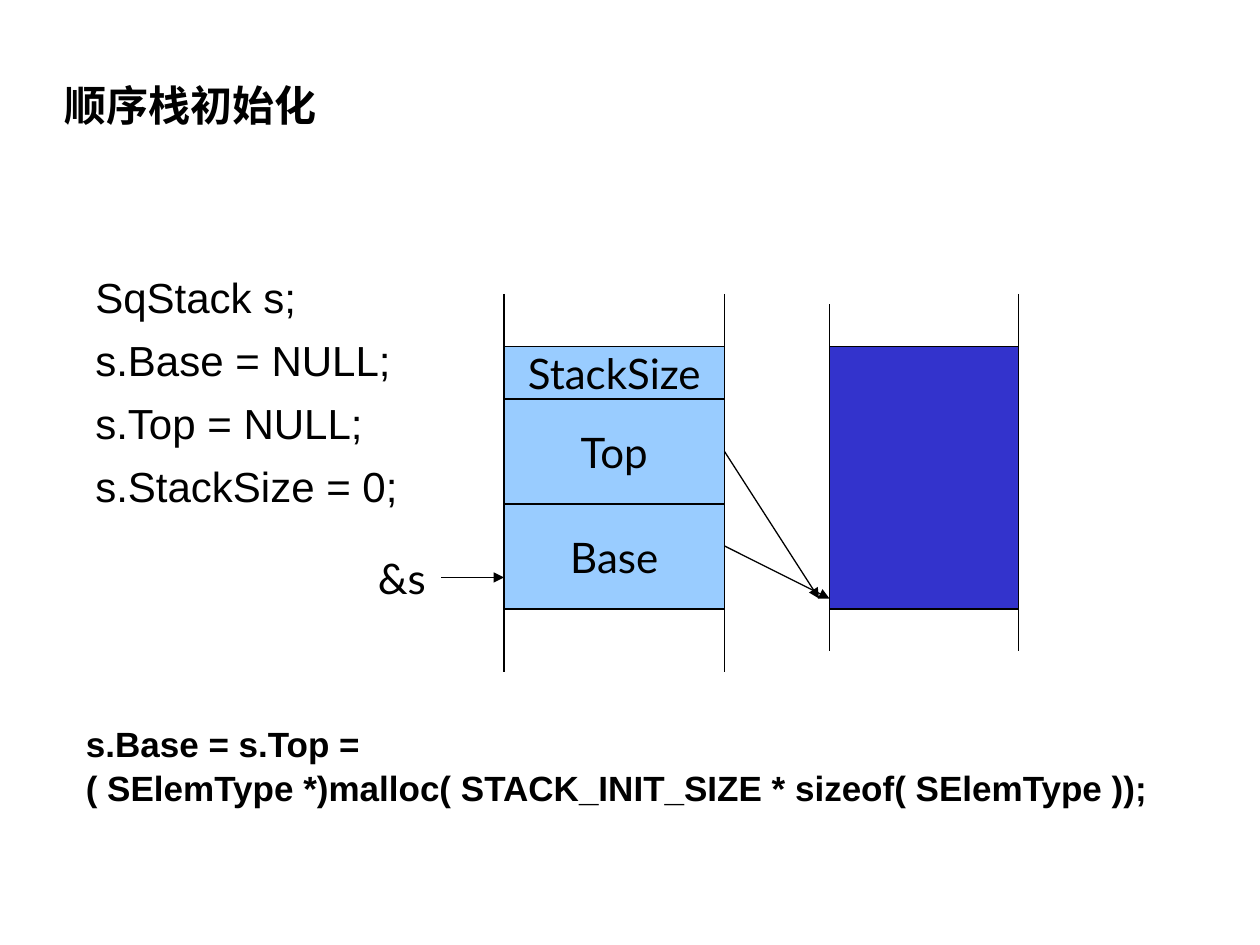
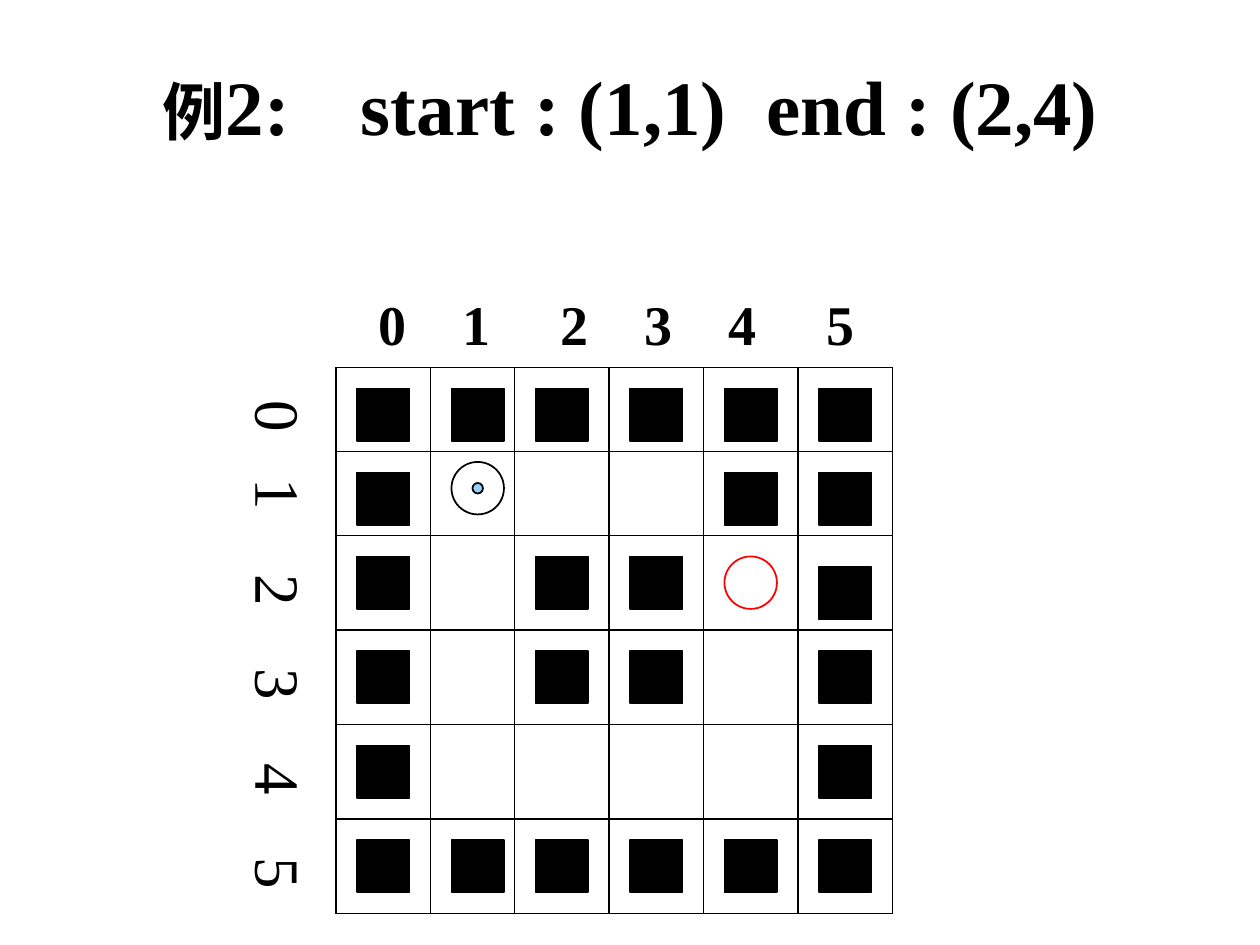
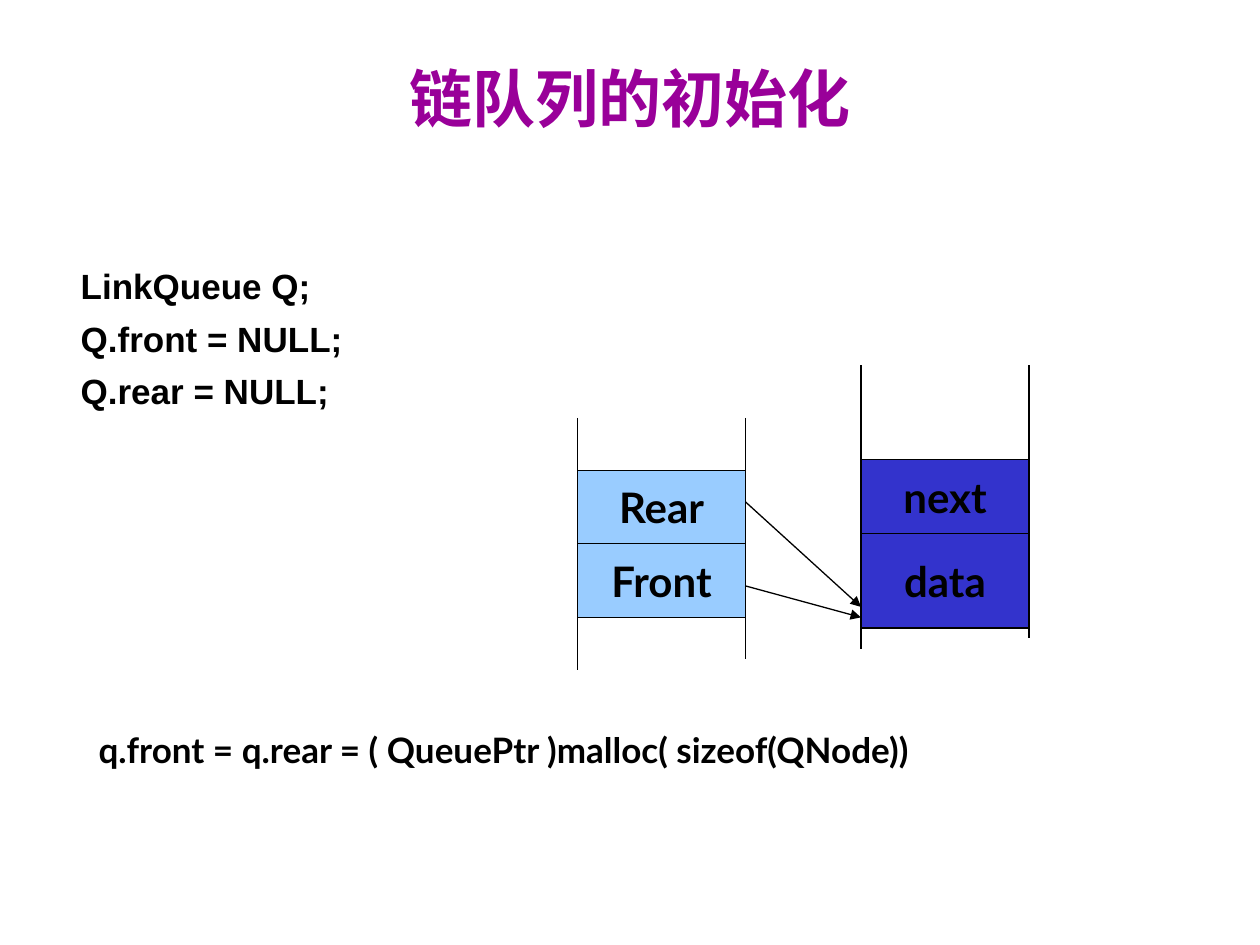
from dataclasses import dataclass
from itertools import product

from lxml.etree import SubElement
from pptx import Presentation
from pptx.dml.color import RGBColor
from pptx.enum.shapes import MSO_CONNECTOR as Connector, MSO_SHAPE as Preset
from pptx.enum.text import MSO_ANCHOR as Anchor, PP_ALIGN as Align
from pptx.oxml.ns import qn
from pptx.util import Inches, Pt

COLUMNS, ROWS = 120, 90
WIDTH, HEIGHT = Inches(10), Inches(7.5)


@dataclass(frozen=True)
class Theme:
    ink = RGBColor.from_string("000000")
    accent = RGBColor.from_string("990099")
    record = RGBColor.from_string("99CCFF")
    heap = RGBColor.from_string("3333CC")
    goal = RGBColor.from_string("FF0000")
    sans = "Arial"
    serif = "Times New Roman"
    label = "Lato"
    code = 20
    body = 24
    header = 32
    large = 36
    display = 44
    thin = 0.75
    rule = 1


THEME = Theme()


@dataclass(frozen=True)
class Box:
    column: float
    row: float
    width: float
    height: float

    def inner(self, column, row, width, height):
        return Box(self.column + column, self.row + row, width, height)

    def point(self, column, row):
        return self.column + column, self.row + row

    def frame(self):
        return (*emu(self.column, self.row), *emu(self.width, self.height))


PAGE = Box(0, 0, COLUMNS, ROWS)


def emu(column, row):
    return round(column * WIDTH / COLUMNS), round(row * HEIGHT / ROWS)


def style_font(run, size, font, color=THEME.ink, bold=False):
    run.font.size = Pt(size)
    run.font.name = font
    run.font.bold = bold
    run.font.color.rgb = color


def add_tabs(paragraph, stops):
    tab_list = SubElement(paragraph._p.get_or_add_pPr(), qn("a:tabLst"))
    for stop in stops:
        SubElement(tab_list, qn("a:tab"), pos=str(emu(stop, 0)[0]), algn="l")


def add_text(slide, box, lines, size, font, color=THEME.ink, bold=False,
             align=Align.LEFT, anchor=Anchor.TOP, gap=0, tabs=()):
    shape = slide.shapes.add_textbox(*box.frame())
    frame = shape.text_frame
    frame.word_wrap = True
    frame.vertical_anchor = anchor
    frame.text = "\n".join(lines)
    for index, paragraph in enumerate(frame.paragraphs):
        paragraph.alignment = align
        if index and gap:
            paragraph.space_before = Pt(gap)
        if tabs:
            add_tabs(paragraph, tabs)
        for run in paragraph.runs:
            style_font(run, size, font, color, bold)
    return shape


def add_title(slide, box, text, size, font=THEME.sans, **options):
    return add_text(slide, box, [text], size, font, bold=True,
                    anchor=Anchor.MIDDLE, **options)


def add_block(slide, box, preset, fill=None, line=THEME.ink, weight=THEME.rule):
    shape = slide.shapes.add_shape(preset, *box.frame())
    shape.shadow.inherit = False
    if fill is None:
        shape.fill.background()
    else:
        shape.fill.solid()
        shape.fill.fore_color.rgb = fill
    shape.line.color.rgb = line
    shape.line.width = Pt(weight)
    return shape


def add_line(slide, start, end, weight=THEME.thin, arrow=False):
    connector = slide.shapes.add_connector(Connector.STRAIGHT, *emu(*start), *emu(*end))
    connector.line.color.rgb = THEME.ink
    connector.line.width = Pt(weight)
    properties = connector._element.spPr
    if arrow:
        SubElement(properties.find(qn("a:ln")), qn("a:tailEnd"), type="triangle")
    SubElement(properties, qn("a:effectLst"))
    return connector


def memory_column(slide, box, cells, rails, fill, bold=False):
    blocks = {}
    for name, top, height in cells:
        block = add_block(slide, box.inner(0, top, box.width, height),
                          Preset.RECTANGLE, fill, weight=THEME.thin)
        blocks[name] = block
        if name:
            frame = block.text_frame
            frame.text = name
            frame.vertical_anchor = Anchor.MIDDLE
            paragraph = frame.paragraphs[0]
            paragraph.alignment = Align.CENTER
            style_font(paragraph.runs[0], THEME.body, THEME.label, bold=bold)
    for column, (top, bottom) in zip((0, box.width), rails):
        add_line(slide, box.point(column, top), box.point(column, bottom))
    return blocks


def stack_diagram(slide, box):
    record = box.inner(13, 0, 21, 36)
    heap = box.inner(44, 0, 18, 34)
    blocks = memory_column(slide, record,
                           [("StackSize", 5, 5), ("Top", 10, 10), ("Base", 20, 10)],
                           [(0, 36), (0, 36)], THEME.record)
    memory_column(slide, heap, [("", 5, 25)], [(1, 34), (0, 34)], THEME.heap)
    address = add_text(slide, box.inner(-0.2, 24, 7.2, 6), ["&s"], THEME.body, THEME.label)
    pointer = add_line(slide, box.point(7, 27), record.point(0, 27), arrow=True)
    pointer.begin_connect(address, 3)
    add_line(slide, record.point(21, 24), heap.point(0, 29), arrow=True)
    top_pointer = add_line(slide, record.point(21, 15), heap.point(-1, 29), arrow=True)
    top_pointer.begin_connect(blocks["Top"], 3)


def queue_diagram(slide, box):
    record = box.inner(0, 5, 16, 24)
    node = box.inner(27, 0, 16, 27)
    memory_column(slide, record, [("Rear", 5, 7), ("Front", 12, 7)],
                  [(0, 24), (0, 23)], THEME.record, bold=True)
    memory_column(slide, node, [("next", 9, 7), ("data", 16, 9)],
                  [(0, 27), (0, 26)], THEME.heap, bold=True)
    for start, end in ((8, 23), (16, 24)):
        add_line(slide, record.point(16, start), node.point(0, end), arrow=True)


def maze(slide, box):
    column_edges = (0, 9, 17, 26, 35, 44, 53)
    row_edges = (0, 8, 16, 25, 34, 43, 52)
    cells = ("######",
             "#S..##",
             "#.##E#",
             "#.##.#",
             "#....#",
             "######")
    nudges = {(1, 1): -1, (2, 5): 1}
    for row in row_edges:
        add_line(slide, box.point(0, row), box.point(box.width, row), THEME.rule)
    for column in column_edges:
        add_line(slide, box.point(column, 0), box.point(column, box.height), THEME.rule)
    for row, column in product(range(6), repeat=2):
        kind = cells[row][column]
        top = row_edges[row] + 2 + nudges.get((row, column), 0)
        mark = box.inner(column_edges[column] + 2, top, 5, 5)
        if kind == "#":
            add_block(slide, mark, Preset.RECTANGLE, THEME.ink)
        elif kind == "E":
            add_block(slide, mark, Preset.OVAL, line=THEME.goal)
        elif kind == "S":
            add_block(slide, mark, Preset.OVAL)
            add_block(slide, mark.inner(2, 2, 1, 1), Preset.OVAL, THEME.record)

    digits = "\t".join("012345")
    add_text(slide, box.inner(-3, -8, 58, 7.7), ["\t" + digits], THEME.header, THEME.serif,
             bold=True, tabs=(5.9, 13.9, 23.2, 31.2, 39.2, 48.5))
    row_labels = add_text(slide, box.inner(-32, 24.5, 53.4, 8.4), [digits], THEME.large,
                          THEME.serif, tabs=(7.4, 16.5, 25.5, 34.5, 43.5))
    row_labels.rotation = 90


def stack_slide(slide, page):
    add_title(slide, page.inner(5, 5, 98, 10), "顺序栈初始化", THEME.body)
    add_text(slide, page.inner(7.9, 25.3, 34.4, 24.5),
             ["SqStack s;", "s.Base = NULL;", "s.Top = NULL;", "s.StackSize = 0;"],
             THEME.body, THEME.sans, gap=0.3 * THEME.body)
    stack_diagram(slide, page.inner(35, 28, 62, 36))
    add_text(slide, page.inner(7, 68.2, 108.7, 9.2),
             ["s.Base = s.Top =",
              "( SElemType *)malloc( STACK_INIT_SIZE * sizeof( SElemType ));"],
             THEME.code, THEME.sans, bold=True, gap=1)


def maze_slide(slide, page):
    title = add_title(slide, page.inner(6, 3.6, 108, 15),
                      "\t例2:\tstart : (1,1)\tend : (2,4)", THEME.display, THEME.serif,
                      tabs=(8.3, 27.2, 65.8))
    paragraph = title.text_frame.paragraphs[0]
    paragraph.line_spacing = 0.7
    lead = paragraph.runs[0]
    text = lead.text
    lead.text = text[:2]
    lead.font.size = Pt(THEME.large)
    rest = paragraph.add_run()
    rest.text = text[2:]
    style_font(rest, THEME.display, THEME.serif, bold=True)
    maze(slide, page.inner(32, 35, 53, 52))


def queue_slide(slide, page):
    add_title(slide, page.inner(6, 5.9, 108, 6.7), "链队列的初始化", THEME.large,
              color=THEME.accent, align=Align.CENTER)
    add_text(slide, page.inner(6.5, 24.6, 50.5, 15.5),
             ["LinkQueue Q;", "Q.front = NULL;", "Q.rear = NULL;"],
             THEME.code, THEME.sans, bold=True, gap=0.3 * THEME.code)
    queue_diagram(slide, page.inner(55, 34.8, 43, 29))
    add_text(slide, page.inner(8.2, 68.8, 88.7, 5.3),
             ["q.front = q.rear = ( QueuePtr )malloc( sizeof(QNode))"],
             THEME.code, THEME.label, bold=True)


def main():
    presentation = Presentation()
    presentation.slide_width, presentation.slide_height = WIDTH, HEIGHT
    blank = presentation.slide_layouts[6]
    for build in (stack_slide, maze_slide, queue_slide):
        build(presentation.slides.add_slide(blank), PAGE)
    presentation.save("out.pptx")


if __name__ == "__main__":
    main()
